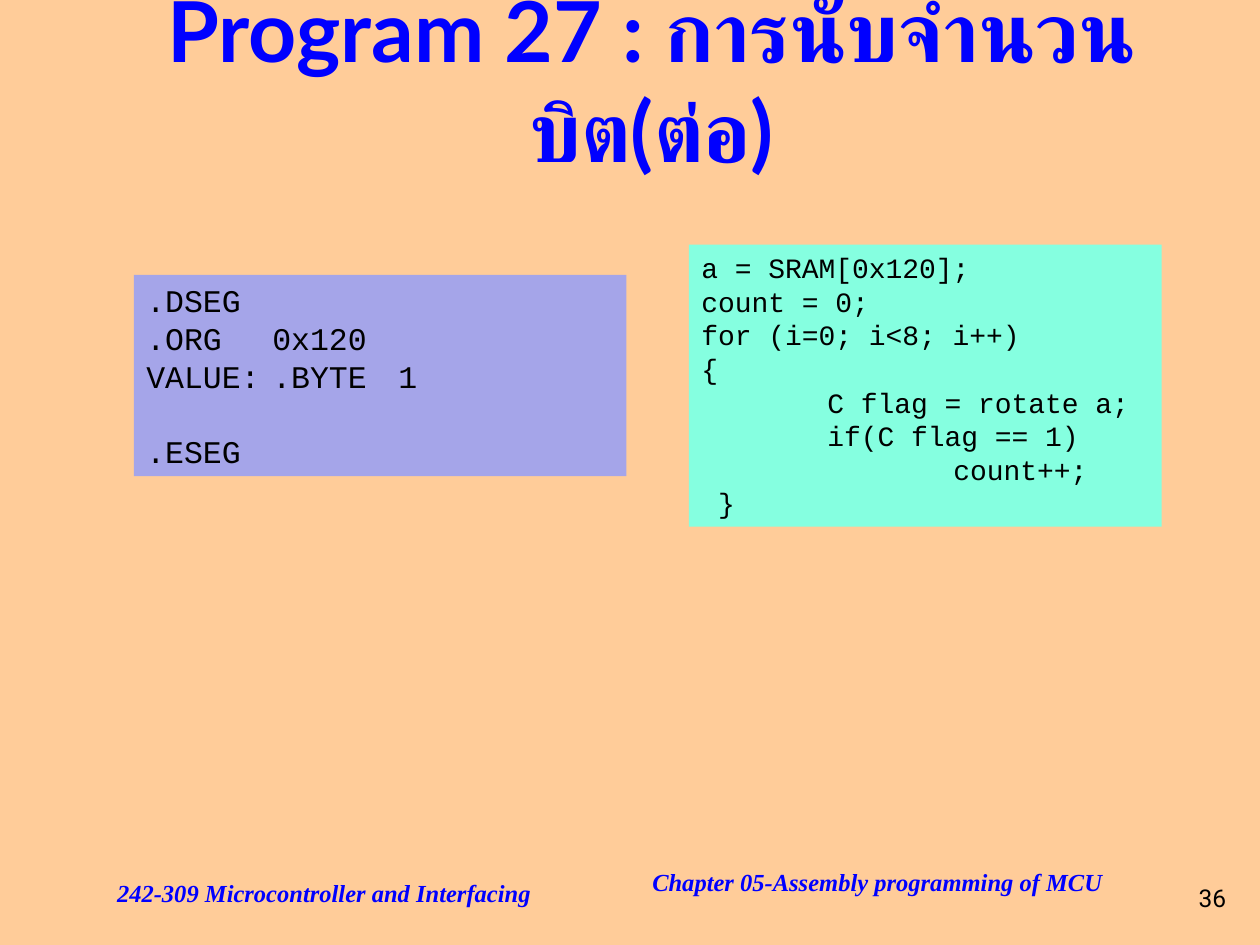
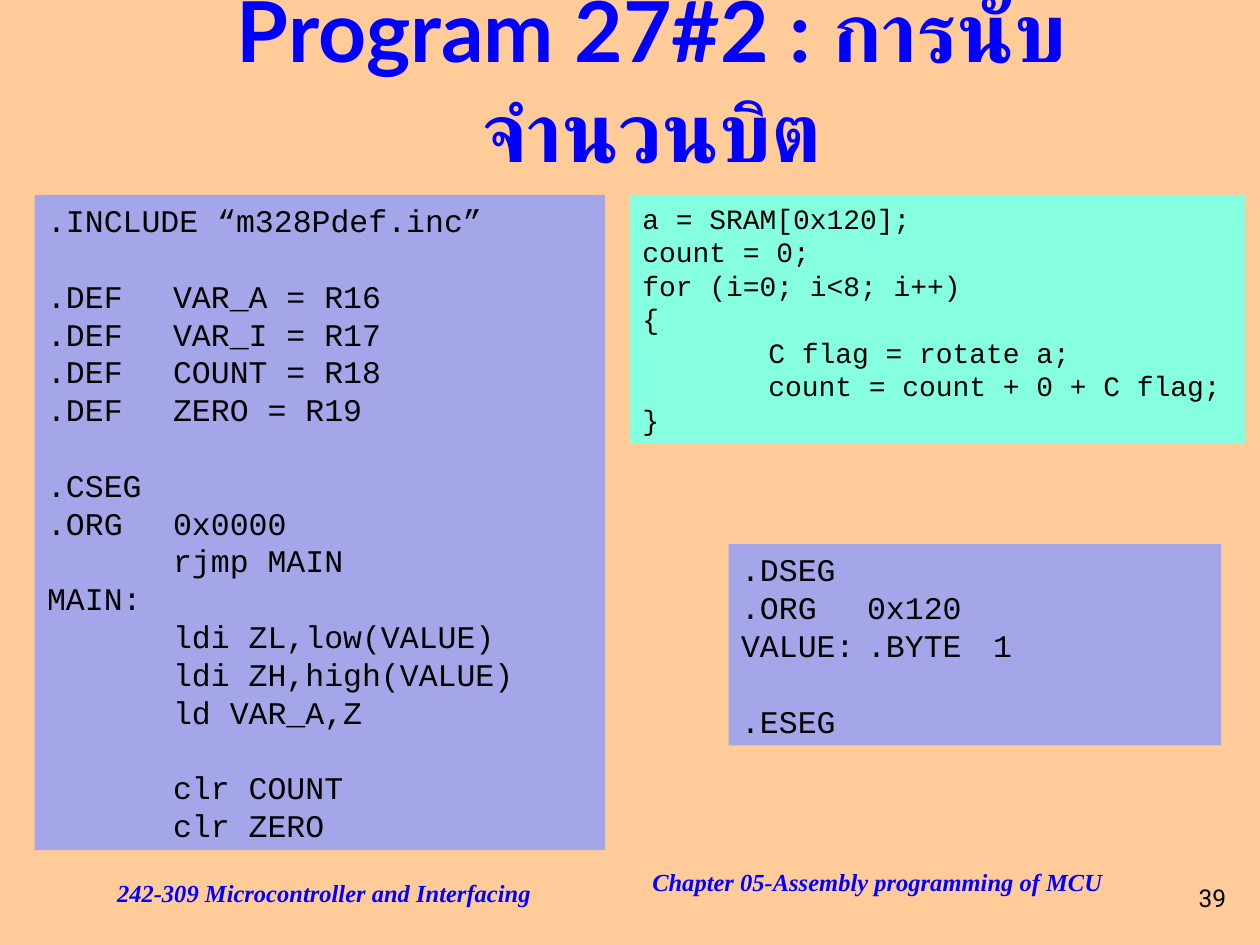
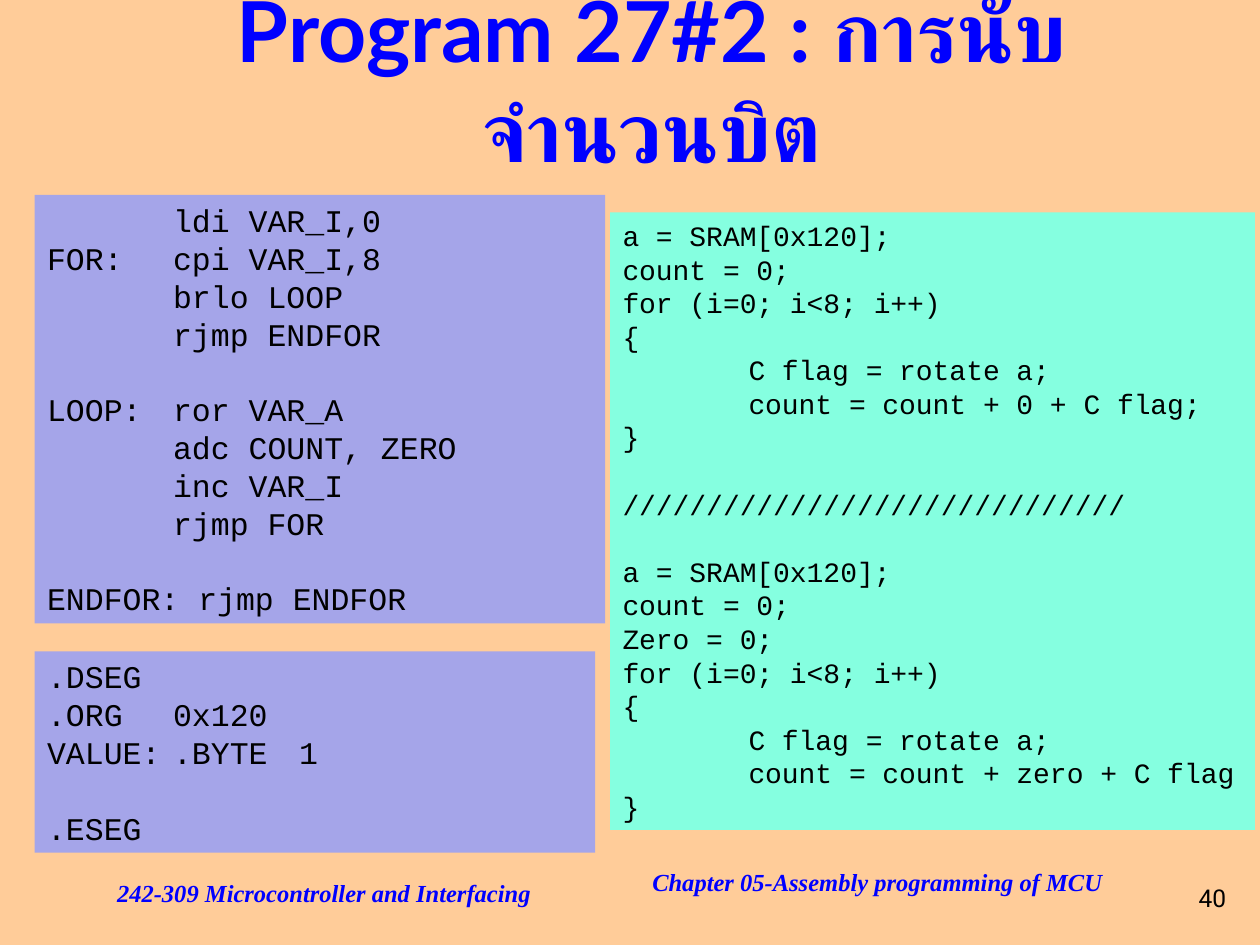
from pptx import Presentation
from pptx.dml.color import RGBColor
from pptx.enum.shapes import MSO_SHAPE
from pptx.enum.text import MSO_ANCHOR, MSO_AUTO_SIZE, PP_ALIGN
from pptx.oxml.ns import qn
from pptx.util import Cm, Pt
from lxml.etree import SubElement

# Shared look
BACKGROUND = "FFCC99"
ASSEMBLY_FILL, PSEUDO_FILL = "A5A5E9", "85FFE0"
TITLE_STYLE = {"name": "Lato", "size": Pt(48), "bold": True, "color": "0000FF"}
FOOTER_STYLE = {"name": "Times New Roman", "size": Pt(14), "bold": True,
                "italic": True, "color": "0000FF"}
NUMBER_STYLE = {"name": "Roboto", "size": Pt(14), "color": "000000"}
CODE_STYLE = {"name": "Courier New", "color": "000000"}
CODE_SIZE = {ASSEMBLY_FILL: 18, PSEUDO_FILL: 16}
LINE_PITCH = 1.2
TAB_STOPS = [Cm(2.54 * stop) for stop in range(1, 8)]

# Places as left, top, width, height in cm
TITLE_PLACE = (2.34, 0, 21.59, 3.18)
NUMBER_PLACE = (23.7, 17.35, 1.48, 1.48)
FOOTERS = [
    ("Chapter 05-Assembly programming of MCU", (12.9, 17.35, 12.5, 1.7)),
    ("242-309 Microcontroller and Interfacing", (2.11, 17.58, 9.58, 1.27)),
]

# Code listings; an empty line becomes space before the next line
DATA_SEGMENT = """\
.DSEG
.ORG\t0x120
VALUE:\t.BYTE\t1

.ESEG"""

LOOP_HEAD = """\
for (i=0; i<8; i++)
{
\tC flag = rotate a;
"""

COUNT_START = """\
a = SRAM[0x120];
count = 0;
"""

COUNT_WITH_IF = COUNT_START + LOOP_HEAD + """\
\tif(C flag == 1)
\t\tcount++;
 }"""

COUNT_WITH_CARRY = COUNT_START + LOOP_HEAD + """\
\tcount = count + 0 + C flag;
}"""

COUNT_WITH_ZERO = COUNT_START + "Zero = 0;\n" + LOOP_HEAD + """\
\tcount = count + zero + C flag
}"""

BOTH_COUNTS = "\n\n".join([COUNT_WITH_CARRY, "/" * 30, COUNT_WITH_ZERO])

SETUP = """\
.INCLUDE “m328Pdef.inc”

.DEF\tVAR_A = R16
.DEF\tVAR_I = R17
.DEF\tCOUNT = R18
.DEF\tZERO = R19

.CSEG
.ORG\t0x0000
\trjmp MAIN
MAIN:
\tldi ZL,low(VALUE)
\tldi ZH,high(VALUE)
\tld VAR_A,Z

\tclr COUNT
\tclr ZERO"""

FOR_LOOP = """\
\tldi VAR_I,0
FOR:\tcpi VAR_I,8
\tbrlo LOOP
\trjmp ENDFOR

LOOP:\tror VAR_A
\tadc COUNT, ZERO
\tinc VAR_I
\trjmp FOR

ENDFOR: rjmp ENDFOR"""

# Title, slide number, then listings as (code, fill, place)
SLIDES = [
    ("Program 27 : การนับจำนวนบิต(ต่อ)", 36, [
        (COUNT_WITH_IF, PSEUDO_FILL, (13.89, 4.93, 9.53, 5.69)),
        (DATA_SEGMENT, ASSEMBLY_FILL, (2.7, 5.54, 9.93, 4.06)),
    ]),
    ("Program 27#2 : การนับจำนวนบิต", 39, [
        (COUNT_WITH_CARRY, PSEUDO_FILL, (12.7, 3.93, 12.4, 5.0)),
        (DATA_SEGMENT, ASSEMBLY_FILL, (14.69, 10.97, 9.93, 4.06)),
        (SETUP, ASSEMBLY_FILL, (0.7, 3.93, 11.5, 13.21)),
    ]),
    ("Program 27#2 : การนับจำนวนบิต", 40, [
        (BOTH_COUNTS, PSEUDO_FILL, (12.3, 4.28, 13.0, 12.45)),
        (DATA_SEGMENT, ASSEMBLY_FILL, (0.7, 13.13, 11.3, 4.06)),
        (FOR_LOOP, ASSEMBLY_FILL, (0.7, 3.93, 11.5, 8.64)),
    ]),
]


def rgb(hex_color):
    return RGBColor.from_string(hex_color)


def lengths(place):
    return [Cm(value) for value in place]


def write(paragraph, text, style):
    run = paragraph.add_run()
    run.text = text
    for attribute, value in style.items():
        if attribute == "color":
            run.font.color.rgb = rgb(value)
        else:
            setattr(run.font, attribute, value)
    # Thai letters take the complex-script font
    SubElement(run.font._element, qn("a:cs"), typeface=style["name"])


def add_label(slide, text, place, style, align=PP_ALIGN.LEFT,
              anchor=MSO_ANCHOR.TOP, wrap=True):
    frame = slide.shapes.add_textbox(*lengths(place)).text_frame
    frame.word_wrap = wrap
    frame.vertical_anchor = anchor
    frame.paragraphs[0].alignment = align
    write(frame.paragraphs[0], text, style)


def add_tab_stops(paragraph):
    tabs = SubElement(paragraph._p.get_or_add_pPr(), qn("a:tabLst"))
    for position in TAB_STOPS:
        SubElement(tabs, qn("a:tab"), pos=str(position), algn="l")


def add_listing(slide, code, fill, place):
    panel = slide.shapes.add_shape(MSO_SHAPE.RECTANGLE, *lengths(place))
    panel.shadow.inherit = False
    panel.fill.solid()
    panel.fill.fore_color.rgb = rgb(fill)
    panel.line.fill.background()

    frame = panel.text_frame
    frame.word_wrap = True
    frame.vertical_anchor = MSO_ANCHOR.TOP
    frame.auto_size = MSO_AUTO_SIZE.SHAPE_TO_FIT_TEXT
    size = CODE_SIZE[fill]
    pitch = Pt(size * LINE_PITCH)
    style = {**CODE_STYLE, "size": Pt(size)}

    for block_index, block in enumerate(code.split("\n\n")):
        for line_index, line in enumerate(block.split("\n")):
            first = block_index == line_index == 0
            paragraph = frame.paragraphs[0] if first else frame.add_paragraph()
            add_tab_stops(paragraph)
            paragraph.alignment = PP_ALIGN.LEFT
            paragraph.line_spacing = pitch
            if block_index and line_index == 0:
                paragraph.space_before = pitch
            write(paragraph, line, style)


def main():
    prs = Presentation()
    prs.slide_width, prs.slide_height = Cm(25.4), Cm(19.05)
    page = prs.slide_master.background.fill
    page.solid()
    page.fore_color.rgb = rgb(BACKGROUND)

    for title, number, listings in SLIDES:
        slide = prs.slides.add_slide(prs.slide_layouts[6])
        add_label(slide, str(number), NUMBER_PLACE, NUMBER_STYLE,
                  PP_ALIGN.CENTER, MSO_ANCHOR.MIDDLE, wrap=False)
        for footer, place in FOOTERS:
            add_label(slide, footer, place, FOOTER_STYLE)
        add_label(slide, title, TITLE_PLACE, TITLE_STYLE,
                  PP_ALIGN.CENTER, MSO_ANCHOR.MIDDLE)
        for code, fill, place in listings:
            add_listing(slide, code, fill, place)

    prs.save("out.pptx")


if __name__ == "__main__":
    main()
